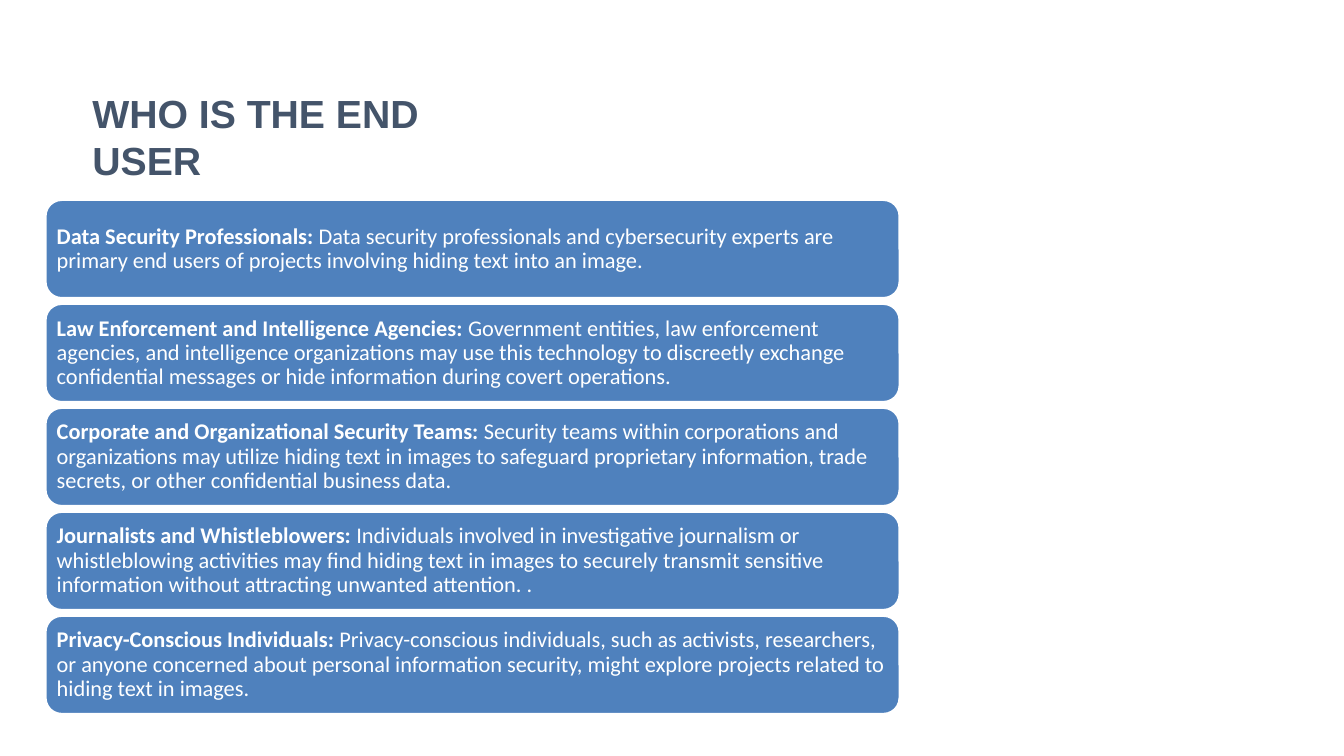
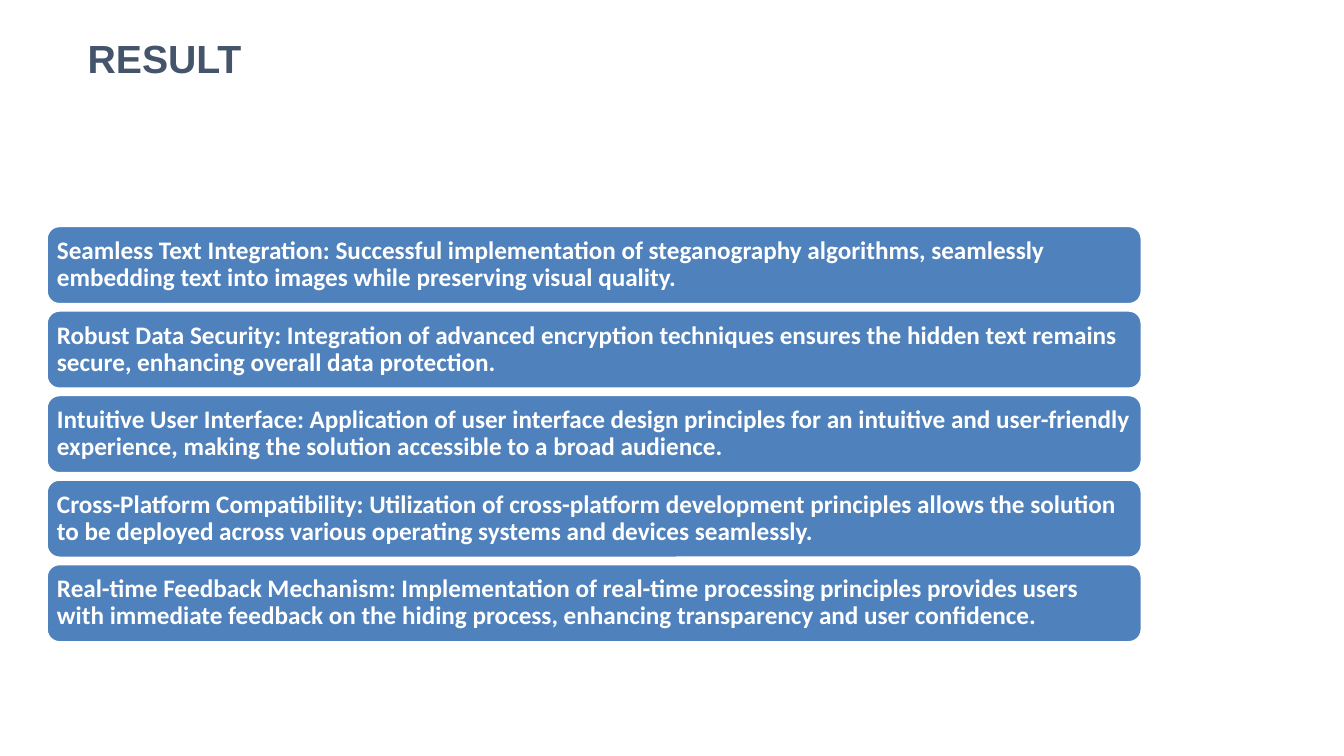
from dataclasses import dataclass

from pptx import Presentation
from pptx.dml.color import RGBColor
from pptx.enum.shapes import MSO_SHAPE
from pptx.enum.text import MSO_ANCHOR, MSO_AUTO_SIZE, PP_ALIGN
from pptx.slide import Slide
from pptx.text.text import _Paragraph as Paragraph
from pptx.util import Cm, Pt

# Shared style
WHITE = RGBColor(0xFF, 0xFF, 0xFF)
CARD_BLUE = RGBColor(0x4F, 0x81, 0xBD)
TITLE_SLATE = RGBColor(0x44, 0x54, 0x6A)
TITLE_FONT = "Arial"
CARD_FONT = "Calibri"
TITLE_SIZE = 28
TITLE_HEIGHT = 1.45
CARD_INSET = Cm(0.17)
BLANK_LAYOUT = 6


@dataclass(frozen=True)
class Title:
    text: str
    left: float
    top: float
    width: float


@dataclass(frozen=True)
class Card:
    heading: str
    body: str


@dataclass(frozen=True)
class CardStack:
    """Equal cards one below another; lengths in centimetres."""
    left: float
    top: float
    width: float
    height: float
    pitch: float
    font_size: int
    bold_body: bool
    cards: tuple[Card, ...]


# Slide content
END_USER_TITLE = Title("WHO IS THE END USER", 2.08, 2.13, 11.3)
END_USER_STACK = CardStack(
    left=1.14, top=5.03, width=21.54, height=2.49, pitch=2.62,
    font_size=16, bold_body=False,
    cards=(
        Card("Data Security Professionals: ",
             "Data security professionals and cybersecurity experts are primary "
             "end users of projects involving hiding text into an image."),
        Card("Law Enforcement and Intelligence Agencies: ",
             "Government entities, law enforcement agencies, and intelligence "
             "organizations may use this technology to discreetly exchange "
             "confidential messages or hide information during covert operations."),
        Card("Corporate and Organizational Security Teams: ",
             "Security teams within corporations and organizations may utilize "
             "hiding text in images to safeguard proprietary information, trade "
             "secrets, or other confidential business data."),
        Card("Journalists and Whistleblowers: ",
             "Individuals involved in investigative journalism or whistleblowing "
             "activities may find hiding text in images to securely transmit "
             "sensitive information without attracting unwanted attention. ."),
        Card("Privacy-Conscious Individuals: ",
             "Privacy-conscious individuals, such as activists, researchers, or "
             "anyone concerned about personal information security, might explore "
             "projects related to hiding text in images."),
    ),
)

RESULT_TITLE = Title("RESULT", 1.96, 0.74, 5.28)
RESULT_STACK = CardStack(
    left=1.17, top=5.69, width=27.61, height=1.98, pitch=2.13,
    font_size=18, bold_body=True,
    cards=(
        Card("Seamless Text Integration: ",
             "Successful implementation of steganography algorithms, seamlessly "
             "embedding text into images while preserving visual quality."),
        Card("Robust Data Security: ",
             "Integration of advanced encryption techniques ensures the hidden "
             "text remains secure, enhancing overall data protection."),
        Card("Intuitive User Interface: ",
             "Application of user interface design principles for an intuitive "
             "and user-friendly experience, making the solution accessible to a "
             "broad audience."),
        Card("Cross-Platform Compatibility: ",
             "Utilization of cross-platform development principles allows the "
             "solution to be deployed across various operating systems and "
             "devices seamlessly."),
        Card("Real-time Feedback Mechanism: ",
             "Implementation of real-time processing principles provides users "
             "with immediate feedback on the hiding process, enhancing "
             "transparency and user confidence."),
    ),
)


def add_run(paragraph: Paragraph, text: str, font_name: str, size: int,
            color: RGBColor, bold: bool) -> None:
    run = paragraph.add_run()
    run.text = text
    run.font.name = font_name
    run.font.size = Pt(size)
    run.font.color.rgb = color
    run.font.bold = bold


def add_title(slide: Slide, title: Title) -> None:
    shape = slide.shapes.add_textbox(
        Cm(title.left), Cm(title.top), Cm(title.width), Cm(TITLE_HEIGHT))
    shape.text_frame.word_wrap = True
    shape.text_frame.auto_size = MSO_AUTO_SIZE.SHAPE_TO_FIT_TEXT
    add_run(shape.text_frame.paragraphs[0], title.text, TITLE_FONT, TITLE_SIZE,
            TITLE_SLATE, True)


def add_card(slide: Slide, stack: CardStack, index: int, card: Card) -> None:
    shape = slide.shapes.add_shape(
        MSO_SHAPE.ROUNDED_RECTANGLE, Cm(stack.left),
        Cm(stack.top + index * stack.pitch), Cm(stack.width), Cm(stack.height))
    shape.shadow.inherit = False
    shape.fill.solid()
    shape.fill.fore_color.rgb = CARD_BLUE
    shape.line.color.rgb = WHITE
    shape.line.width = Pt(2)

    # Card text
    frame = shape.text_frame
    frame.word_wrap = True
    frame.vertical_anchor = MSO_ANCHOR.MIDDLE
    frame.margin_left = frame.margin_right = CARD_INSET
    frame.margin_top = frame.margin_bottom = CARD_INSET
    paragraph = frame.paragraphs[0]
    paragraph.alignment = PP_ALIGN.LEFT
    paragraph.line_spacing = 0.9
    for text, bold in ((card.heading, True), (card.body, stack.bold_body)):
        add_run(paragraph, text, CARD_FONT, stack.font_size, WHITE, bold)


def main() -> None:
    presentation = Presentation()
    presentation.slide_width = Cm(33.87)
    presentation.slide_height = Cm(19.05)
    for title, stack in ((END_USER_TITLE, END_USER_STACK),
                         (RESULT_TITLE, RESULT_STACK)):
        slide = presentation.slides.add_slide(
            presentation.slide_layouts[BLANK_LAYOUT])
        add_title(slide, title)
        for index, card in enumerate(stack.cards):
            add_card(slide, stack, index, card)
    presentation.save("out.pptx")


if __name__ == "__main__":
    main()
